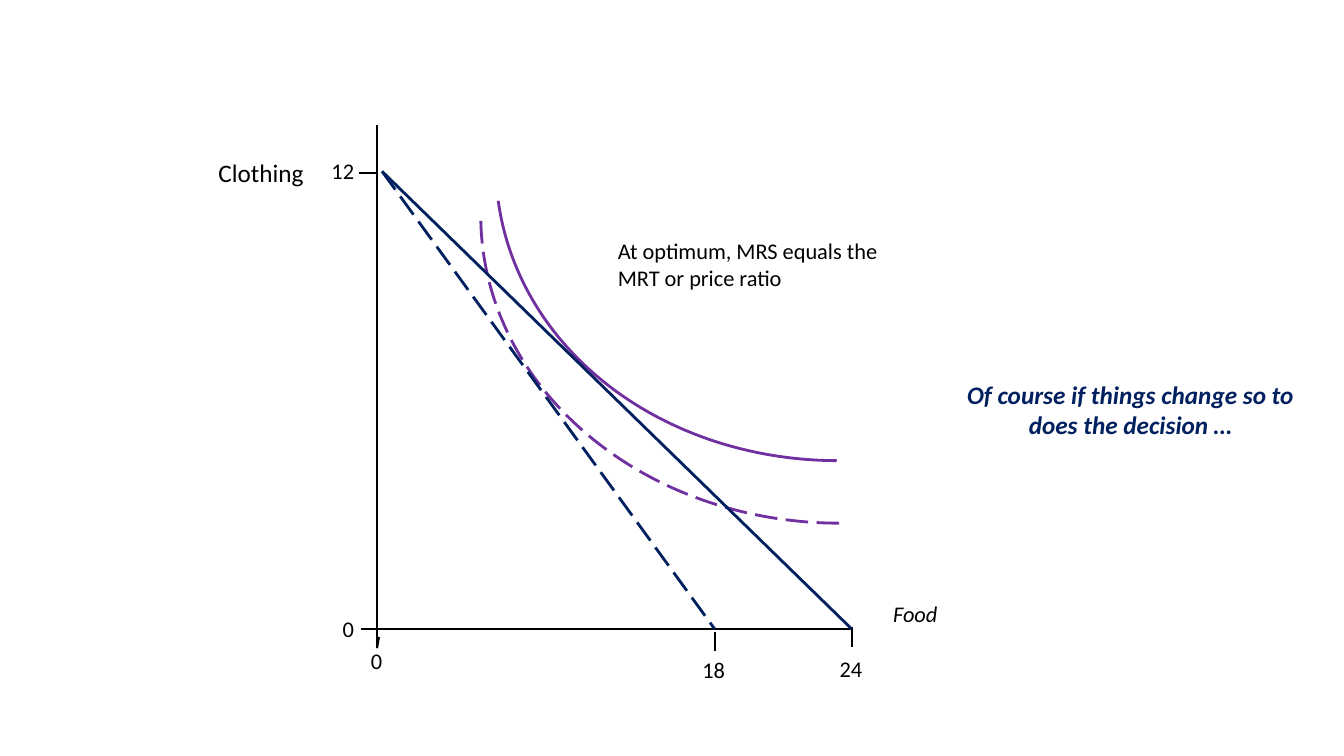
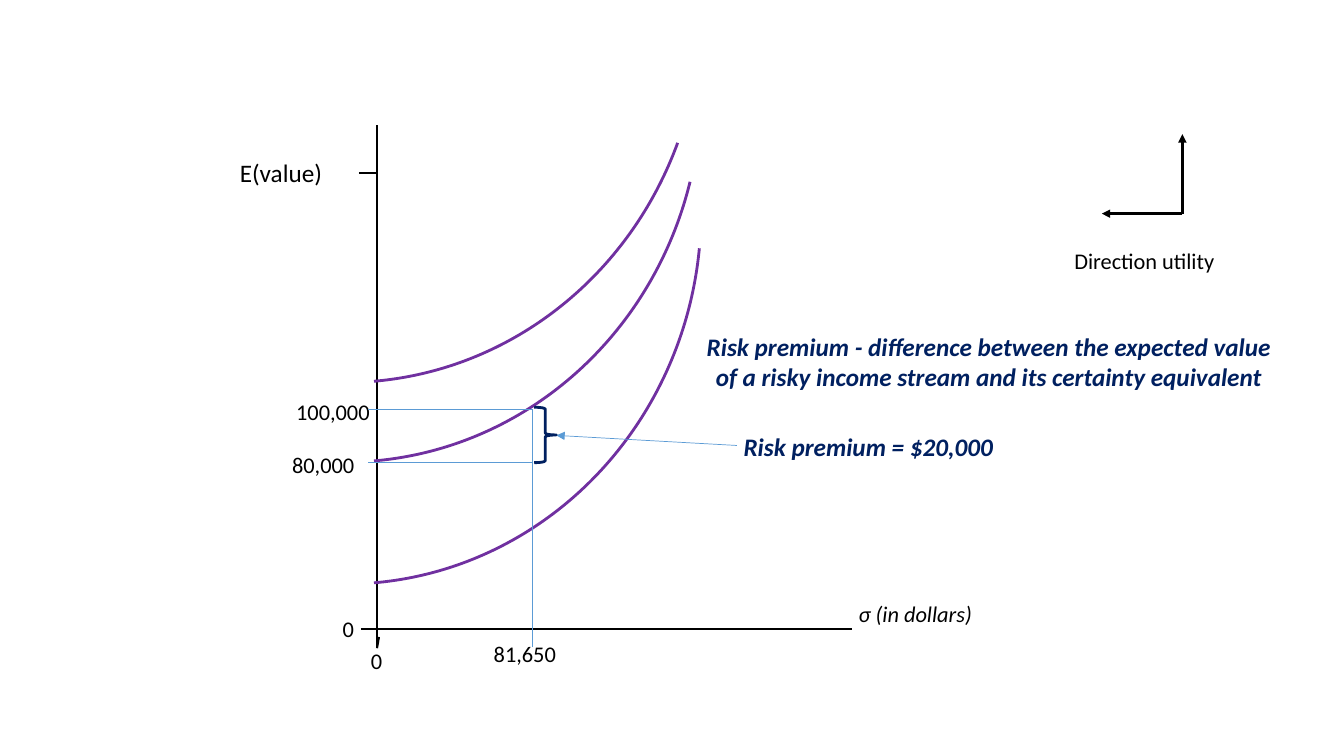
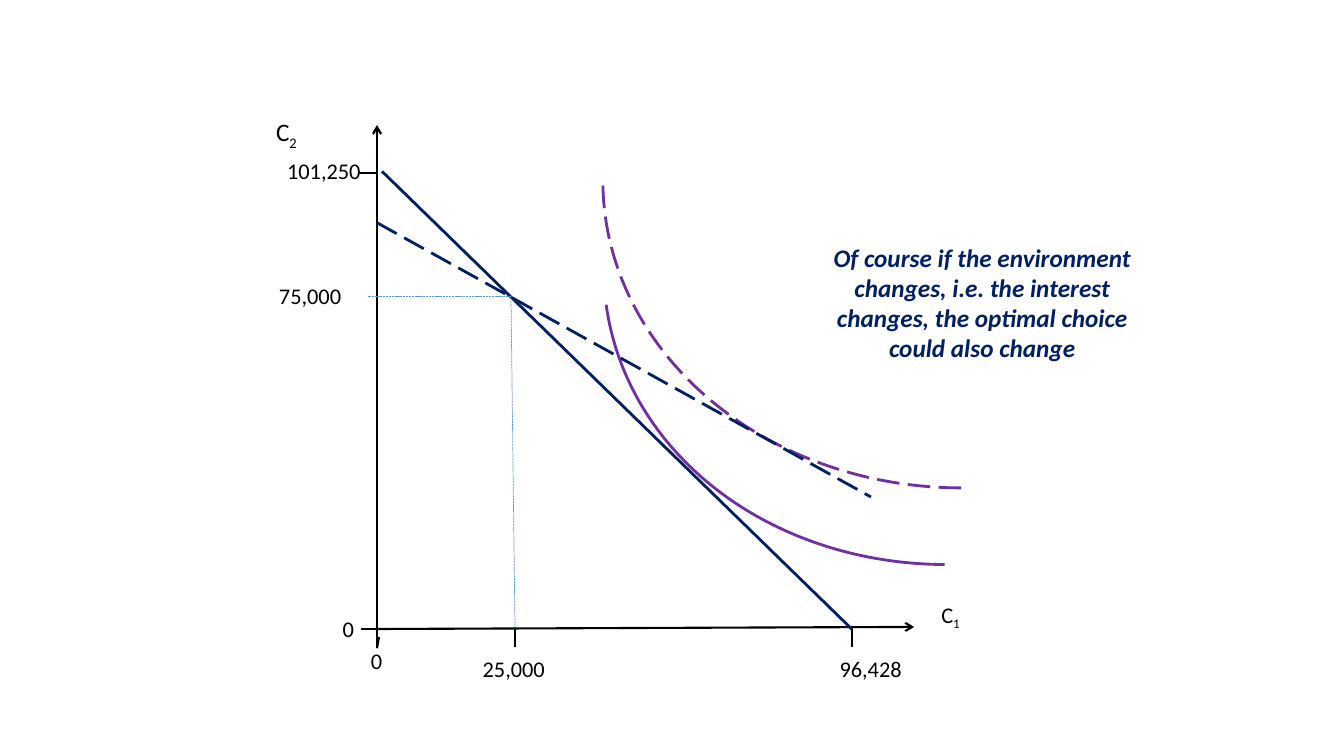
from lxml import etree
from pptx import Presentation
from pptx.dml.color import RGBColor
from pptx.enum.dml import MSO_LINE
from pptx.enum.shapes import MSO_CONNECTOR, MSO_SHAPE
from pptx.enum.text import MSO_AUTO_SIZE as AutoSize, PP_ALIGN
from pptx.oxml.ns import qn
from pptx.util import Pt

# Shared look and frame, all lengths in points
COLORS = {"ink": "000000", "navy": "002060", "curve": "7030A0", "guide": "5B9BD5"}
FONT = "Calibri"
LONG, SHORT = MSO_LINE.LONG_DASH, MSO_LINE.SQUARE_DOT
ORIGIN_X, ORIGIN_Y = 269.3, 449.3
AXIS_TOP, AXIS_RIGHT = 89.3, 608.4
TICK_BOTTOM = 462.3
TOP_TICK_Y = 123.8
BUDGET_START = (272.9, 122.4)
BUDGET_END = (AXIS_RIGHT, ORIGIN_Y)

# Text styles: size, colour, bold, italic, centred
STYLES = {
    "label": (16, "ink", False, False, False),
    "axis": (18, "ink", False, False, False),
    "variable": (16, "ink", False, True, True),
    "message": (18, "navy", True, True, True),
}
# Line styles: colour, width, dash, arrowhead
LINES = {
    "axis": ("ink", 1.5, None, None),
    "axis arrow": ("ink", 1.5, None, "arrow"),
    "direction": ("ink", 2, None, "triangle"),
    "budget": ("navy", 2, None, None),
    "new budget": ("navy", 2, LONG, None),
    "guide": ("guide", 0.5, None, None),
    "dashed guide": ("guide", 0.5, SHORT, None),
    "pointer": ("guide", 0.5, None, "triangle"),
    "curve": ("curve", 2, None, None),
    "new curve": ("curve", 2, LONG, None),
}
# Curve families: width, height, rotation, end angle
CONVEX = (511.9, 439.2, 172.2, 0)
QUARTER = (511.9, 439.2, 180, 0)
RISING = (529.9, 506.2, 92.7, 353.08)

# Texts: style, left, top, width, line count, wording ("_" starts a subscript)
# Arcs: line style, family, left, top, start angle
SLIDES = [
    {
        "x_tip": (AXIS_RIGHT, ORIGIN_Y), "axis_line": "axis",
        "texts": [
            ("axis", 149, 108.7, 98.6, 1, "Clothing"),
            ("label", 592.6, 464.4, 31, 1, "24"),
            ("label", 229.7, 108.7, 43.9, 1, "12"),
            ("label", 434.2, 165.6, 231.1, 2,
             "At optimum, MRS equals the MRT or price ratio"),
            ("variable", 592.6, 424.8, 122.4, 1, "Food"),
            ("message", 679, 267.1, 257, 2,
             "Of course if things change so to does the decision …"),
            ("label", 494.6, 465.1, 31, 1, "18"),
        ],
        "lines": [
            ("axis", (AXIS_RIGHT, 447.8), (AXIS_RIGHT, TICK_BOTTOM)),
            ("axis", (510.5, 451.4), (510.5, 465.1)),
            ("budget", BUDGET_START, BUDGET_END),
            ("new budget", BUDGET_START, (510.5, ORIGIN_Y)),
        ],
        "arcs": [
            ("curve", CONVEX, 353.5, -110.9, 280.86),
            ("new curve", QUARTER, 343.4, -65.5, 270),
        ],
    },
    {
        "x_tip": (AXIS_RIGHT, ORIGIN_Y), "axis_line": "axis",
        "texts": [
            ("axis", 164.2, 108.7, 83.5, 1, "E(value)"),
            ("label", 760.3, 172.8, 135.4, 1, "Direction utility"),
            ("variable", 592.6, 424.8, 122.4, 1, "σ (in dollars)"),
            ("message", 491.8, 304.6, 257, 1, "Risk premium = $20,000"),
            ("label", 345.6, 453.6, 77, 1, "81,650"),
            ("label", 204.5, 280.8, 77, 1, "100,000"),
            ("label", 201.6, 318.4, 77, 1, "80,000"),
            ("message", 491.8, 233.3, 429.1, 2,
             "Risk premium - difference between the expected value "
             "of a risky income stream and its certainty equivalent"),
        ],
        "lines": [
            ("guide", (380.2, TICK_BOTTOM), (380.2, 292.3)),
            ("guide", (380.2, 292.3), (262.8, 292.3)),
            ("guide", (380.2, 330.5), (262.8, 330.5)),
            ("pointer", (526.3, 318.2), (397.4, 311)),
            ("direction", (844.6, 152.6), (844.6, 95.8)),
            ("direction", (844.6, 152.6), (787, 152.6)),
        ],
        "arcs": [
            ("curve", RISING, -17.3, -100.8, 272.99),
            ("curve", RISING, -17.3, -187.9, 282.08),
            ("curve", RISING, -17.3, -244.8, 288.93),
        ],
        "brace": (381.6, 290.9, 15.8, 39.6),
    },
    {
        "x_tip": (653, 447.8), "axis_line": "axis arrow",
        "texts": [
            ("axis", 190.1, 79.9, 39.6, 1, "C_2"),
            ("label", 592.6, 464.4, 60.5, 1, "96,428"),
            ("label", 198, 108.7, 74.9, 1, "101,250"),
            ("label", 665.3, 425.5, 91.4, 1, "C_1"),
            ("message", 573.1, 169.2, 257, 4,
             "Of course if the environment changes, i.e. the interest "
             "changes, the optimal choice could also change"),
            ("label", 337.7, 464.4, 65.5, 1, "25,000"),
            ("label", 192.2, 198, 65.5, 1, "75,000"),
        ],
        "lines": [
            ("axis", (AXIS_RIGHT, 447.8), (AXIS_RIGHT, TICK_BOTTOM)),
            ("axis", (367.9, 447.8), (367.9, TICK_BOTTOM)),
            ("budget", BUDGET_START, BUDGET_END),
            ("new budget", (ORIGIN_X, 159.1), (622.1, 355)),
            ("dashed guide", (367.9, ORIGIN_Y), (365, 211.7)),
            ("dashed guide", (365, 211.7), (262.8, 211.7)),
        ],
        "arcs": [
            ("curve", CONVEX, 430.6, -36.7, 280.86),
            ("new curve", QUARTER, 430.6, -90.7, 270),
        ],
    },
]


def color(name):
    return RGBColor.from_string(COLORS[name])


def style_line(line, style):
    hue, width, dash, _ = LINES[style]
    line.color.rgb = color(hue)
    line.width = Pt(width)
    if dash is not None:
        line.dash_style = dash


def add_line(page, style, start, end):
    ends = [Pt(value) for value in (*start, *end)]
    connector = page.shapes.add_connector(MSO_CONNECTOR.STRAIGHT, *ends)
    style_line(connector.line, style)
    properties = connector._element.spPr
    arrow = LINES[style][3]
    if arrow:
        etree.SubElement(properties.find(qn("a:ln")), qn("a:tailEnd"), type=arrow)
    etree.SubElement(properties, qn("a:effectLst"))


def add_outline(page, preset, style, frame):
    shape = page.shapes.add_shape(preset, *[Pt(value) for value in frame])
    shape.fill.background()
    shape.shadow.inherit = False
    style_line(shape.line, style)
    return shape


def add_arc(page, style, family, left, top, start_angle):
    width, height, rotation, end_angle = family
    arc = add_outline(page, MSO_SHAPE.ARC, style, (left, top, width, height))
    arc.rotation = rotation
    # One degree is 60000 units, an adjustment step is 100000 units
    arc.adjustments[0] = start_angle * 0.6
    arc.adjustments[1] = end_angle * 0.6


def add_text(page, style, left, top, width, line_count, wording):
    size, hue, bold, italic, centred = STYLES[style]
    height = 1.2 * size * line_count + 7.2
    box = page.shapes.add_textbox(Pt(left), Pt(top), Pt(width), Pt(height))
    frame = box.text_frame
    frame.word_wrap = True
    frame.auto_size = AutoSize.SHAPE_TO_FIT_TEXT
    para = frame.paragraphs[0]
    para.alignment = PP_ALIGN.CENTER if centred else PP_ALIGN.LEFT
    for index, part in enumerate(wording.split("_")):
        span = para.add_run()
        span.text = part
        font = span.font
        font.name, font.size = FONT, Pt(size)
        font.bold, font.italic = bold, italic
        font.color.rgb = color(hue)
        if index:
            span._r.get_or_add_rPr().set("baseline", "-25000")


def add_axes(page, axis_line, x_tip):
    add_line(page, axis_line, (ORIGIN_X, TICK_BOTTOM), (ORIGIN_X, AXIS_TOP))
    add_line(page, axis_line, (267.8, ORIGIN_Y), x_tip)
    # Ticks at the origin and at the top of the vertical axis
    add_line(page, "axis", (ORIGIN_X, 463), (270.7, 455))
    add_line(page, "axis", (257.8, ORIGIN_Y), (270.7, ORIGIN_Y))
    add_line(page, "axis", (256.3, TOP_TICK_Y), (ORIGIN_X, TOP_TICK_Y))
    add_text(page, "label", 257.8, 458.7, 31, 1, "0")
    add_text(page, "label", 237.6, 435.6, 20.2, 1, "0")


def main():
    deck = Presentation()
    deck.slide_width, deck.slide_height = Pt(960), Pt(540)
    for content in SLIDES:
        page = deck.slides.add_slide(deck.slide_layouts[6])
        add_axes(page, content["axis_line"], content["x_tip"])
        for text in content["texts"]:
            add_text(page, *text)
        for arc in content["arcs"]:
            add_arc(page, *arc)
        for line in content["lines"]:
            add_line(page, *line)
        if "brace" in content:
            add_outline(page, MSO_SHAPE.RIGHT_BRACE, "budget", content["brace"])
    deck.save("out.pptx")


if __name__ == "__main__":
    main()
